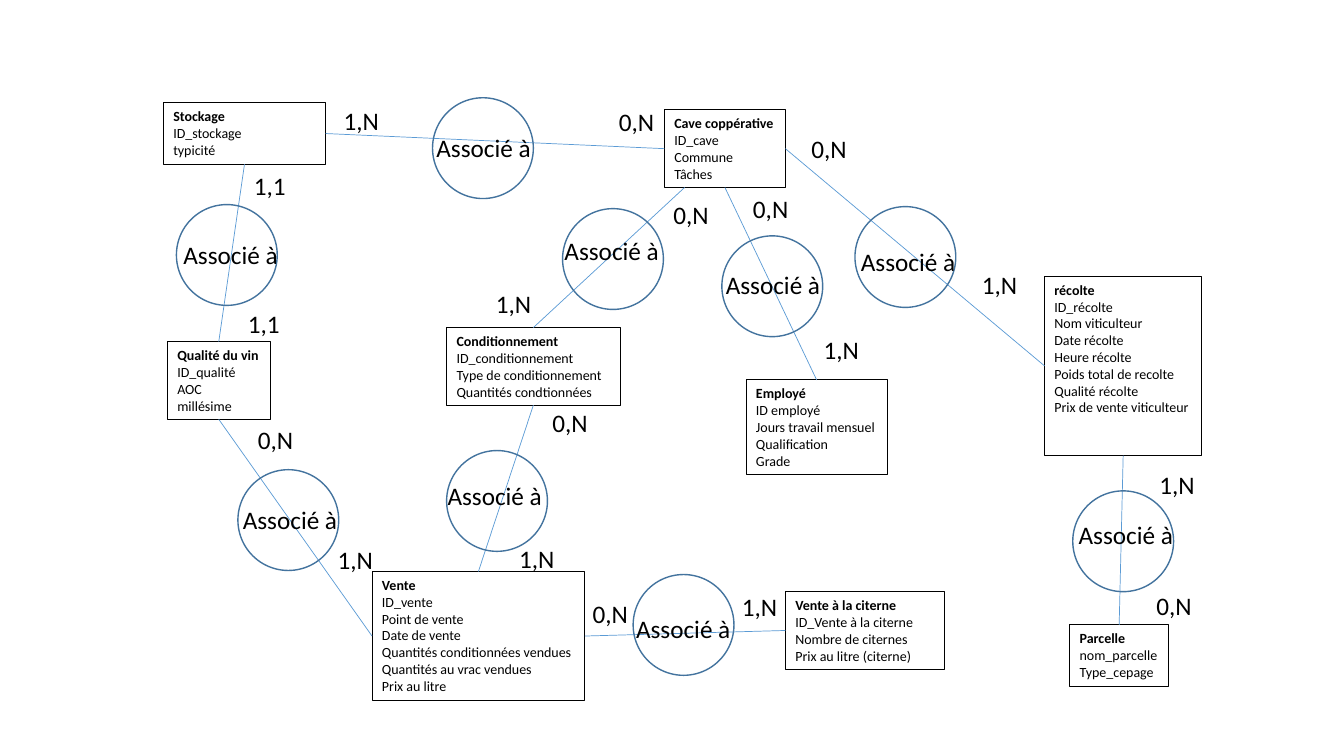
from pptx import Presentation
from pptx.dml.color import RGBColor
from pptx.enum.shapes import MSO_CONNECTOR, MSO_SHAPE
from pptx.enum.text import MSO_ANCHOR, PP_ALIGN
from pptx.oxml.ns import qn
from pptx.util import Inches, Pt
from lxml import etree

BLACK = RGBColor(0x00, 0x00, 0x00)
BLUE = RGBColor(0x5B, 0x9B, 0xD5)
NAVY = RGBColor(0x43, 0x73, 0x9E)
RECT, OVAL = MSO_SHAPE.RECTANGLE, MSO_SHAPE.OVAL
LINE = MSO_CONNECTOR.STRAIGHT
LEFT, HIGH = PP_ALIGN.LEFT, MSO_ANCHOR.TOP
# Connection sites of a rectangle
TOP, WEST, FOOT, EAST = range(4)


class Board:
    font = "Calibri"
    small, large = Pt(10), Pt(18)

    def __init__(self, slide):
        self.shapes = slide.shapes

    def letter(self, shape, text, size):
        frame = shape.text_frame
        frame.text = text
        frame.word_wrap = True
        frame.vertical_anchor = HIGH
        frame.margin_right = 0
        for para in frame.paragraphs:
            para.alignment = LEFT
            for run in para.runs:
                run.font.name = self.font
                run.font.size = size
                run.font.color.rgb = BLACK

    def outline(self, kind, place, color, width):
        shape = self.shapes.add_shape(kind, *map(Inches, place))
        shape.shadow.inherit = False
        shape.fill.background()
        shape.line.color.rgb = color
        shape.line.width = Pt(width)
        return shape

    def entity(self, place, rows):
        box = self.outline(RECT, place, BLACK, 0.75)
        self.letter(box, "\n".join(rows), self.small)
        box.text_frame.paragraphs[0].runs[0].font.bold = True
        return box

    def circle(self, x, y):
        self.outline(OVAL, (x, y, 1, 1), NAVY, 1)

    def label(self, text, x, y, width):
        box = self.shapes.add_textbox(
            Inches(x), Inches(y), Inches(width), Inches(0.4))
        self.letter(box, text, self.large)

    def link(self, start, out, end, into):
        line = self.shapes.add_connector(LINE, 0, 0, 0, 0)
        line.begin_connect(start, out)
        line.end_connect(end, into)
        line.line.color.rgb = BLUE
        line.line.width = Pt(0.5)
        etree.SubElement(line.element.spPr, qn("a:effectLst"))
        return line


deck = Presentation()
deck.slide_width, deck.slide_height = Inches(13.33), Inches(7.5)
board = Board(deck.slides.add_slide(deck.slide_layouts[6]))

# Entities: place, then title and fields
ENTITIES = {
    "harvest": ((10.36, 2.74, 1.56, 1.78), (
        "récolte", "ID_récolte", "Nom viticulteur", "Date récolte",
        "Heure récolte", "Poids total de recolte", "Qualité récolte",
        "Prix de vente viticulteur")),
    "plot": ((10.61, 6.2, 0.98, 0.61), (
        "Parcelle", "nom_parcelle", "Type_cepage")),
    "stock": ((1.62, 1.02, 1.61, 0.61), (
        "Stockage", "ID_stockage", "typicité")),
    "staff": ((7.4, 3.77, 1.4, 0.94), (
        "Employé", "ID employé", "Jours travail mensuel",
        "Qualification", "Grade")),
    "cave": ((6.59, 1.09, 1.2, 0.77), (
        "Cave coppérative", "ID_cave", "Commune", "Tâches")),
    "sale": ((3.69, 5.67, 2.11, 1.28), (
        "Vente", "ID_vente", "Point de vente", "Date de vente",
        "Quantités conditionnées vendues", "Quantités au vrac vendues",
        "Prix au litre")),
    "grade": ((1.66, 3.39, 1.02, 0.77), (
        "Qualité du vin", "ID_qualité", "AOC", "millésime")),
    "pack": ((4.43, 3.25, 1.72, 0.77), (
        "Conditionnement", "ID_conditionnement",
        "Type de conditionnement", "Quantités condtionnées")),
    "tank": ((7.79, 5.87, 1.58, 0.77), (
        "Vente à la citerne", "ID_Vente à la citerne",
        "Nombre de citernes", "Prix au litre (citerne)")),
}
boxes = {name: board.entity(*data) for name, data in ENTITIES.items()}

# Relations: both ends, circle, caption, cardinality at each end
RELATIONS = [
    ("harvest", FOOT, "plot", TOP, (10.64, 4.87), (10.6, 5.1),
     ("1,N", 11.4, 4.61), ("0,N", 11.37, 5.81)),
    ("cave", EAST, "harvest", WEST, (8.48, 2.05), (8.44, 2.39),
     ("0,N", 7.95, 1.27), ("1,N", 9.64, 2.62)),
    ("cave", FOOT, "staff", TOP, (7.16, 2.34), (7.1, 2.62),
     ("0,N", 7.37, 1.87), ("1,N", 8.07, 3.27)),
    ("stock", EAST, "cave", WEST, (4.29, 0.97), (4.23, 1.26),
     ("1,N", 3.31, 1), ("0,N", 6.04, 1.01)),
    ("stock", FOOT, "grade", TOP, (1.75, 2.03), (1.72, 2.33),
     ("1,1", 2.42, 1.64), ("1,1", 2.36, 3.01)),
    ("pack", FOOT, "sale", TOP, (4.43, 4.47), (4.34, 4.72),
     ("0,N", 5.38, 3.99), ("1,N", 5.05, 5.34)),
    ("grade", FOOT, "sale", WEST, (2.36, 4.66), (2.31, 4.95),
     ("0,N", 2.46, 4.16), ("1,N", 3.25, 5.35)),
    ("sale", EAST, "tank", WEST, (6.28, 5.7), (6.21, 6.04),
     ("0,N", 5.78, 5.89), ("1,N", 7.26, 5.82)),
    ("pack", TOP, "cave", FOOT, (5.58, 2.07), (5.5, 2.29),
     ("1,N", 4.82, 2.81), ("0,N", 6.58, 1.93)),
]
for start, out, end, into, ring, name, *counts in RELATIONS:
    line = board.link(boxes[start], out, boxes[end], into)
    if (start, end) == ("pack", "cave"):
        # This line meets the cave left of its middle, so it is unglued there
        glue = line.element.find(".//" + qn("a:endCxn"))
        glue.getparent().remove(glue)
        line.end_x = Inches(6.79)
    board.circle(*ring)
    board.label("Associé à", *name, 1.32)
    for text, x, y in counts:
        board.label(text, x, y, 0.56)

deck.save("out.pptx")
